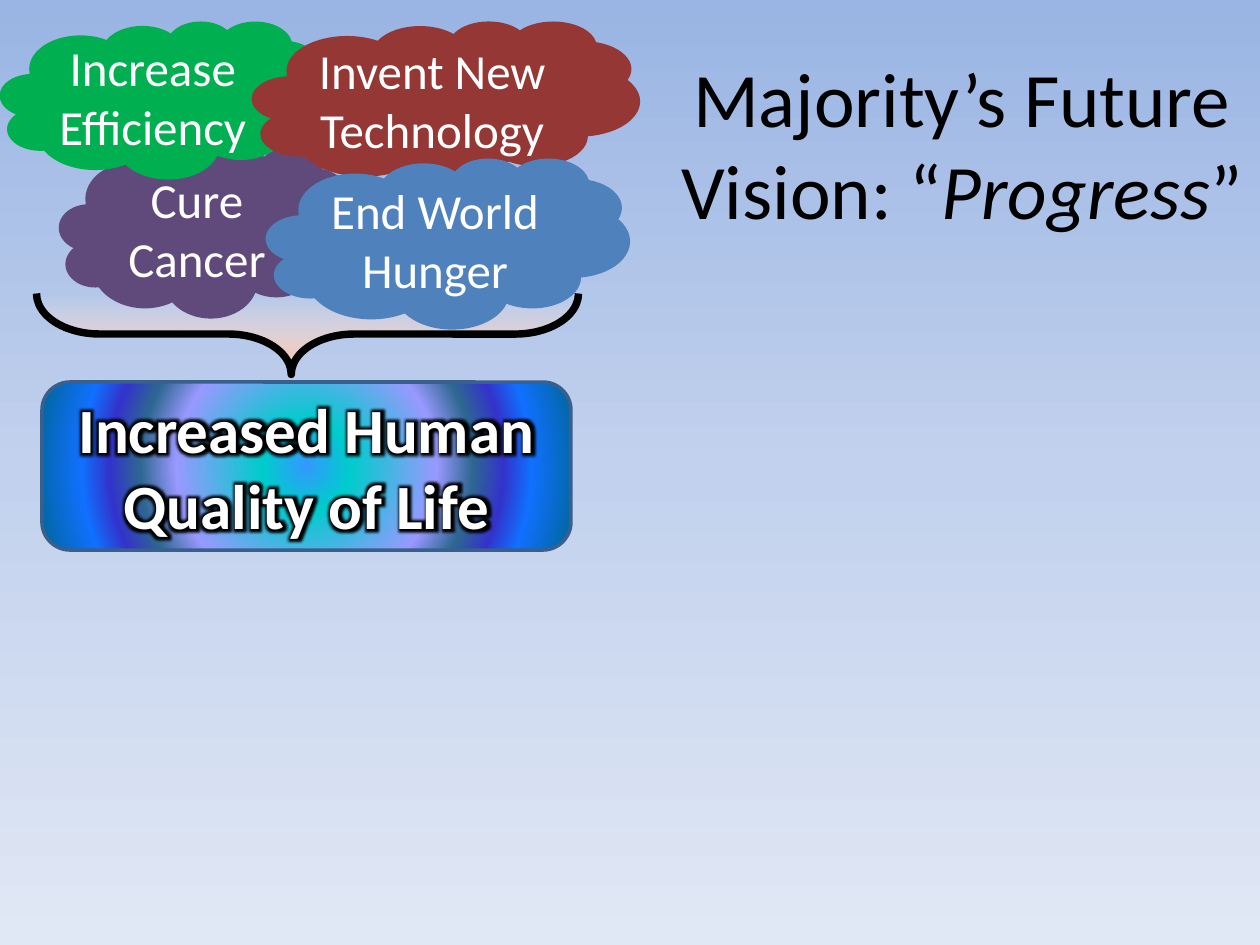
from lxml import etree
from pptx import Presentation
from pptx.dml.color import RGBColor
from pptx.enum.shapes import MSO_SHAPE as SHAPE
from pptx.enum.text import MSO_ANCHOR as ANCHOR, PP_ALIGN as ALIGN
from pptx.oxml import parse_xml
from pptx.oxml.ns import nsdecls, qn
from pptx.util import Pt

EMU_PER_PX = 914400 / 126
BLACK = RGBColor(0x00, 0x00, 0x00)
WHITE = RGBColor(0xFF, 0xFF, 0xFF)
PURPLE = RGBColor(0x60, 0x4A, 0x7B)
GREEN = RGBColor(0x00, 0xB0, 0x50)
RED = RGBColor(0x95, 0x37, 0x35)
BLUE = RGBColor(0x4F, 0x81, 0xBD)
NAVY = RGBColor(0x3A, 0x5F, 0x8C)

# Gradient stops: position %, colour, opacity %
SKY = [(0, RGBColor(0x9A, 0xB5, 0xE4), 100), (50, RGBColor(0xC2, 0xD1, 0xED), 100),
       (100, RGBColor(0xE1, 0xE8, 0xF5), 100)]
PEACH = [(0, RGBColor(0xFF, 0xC1, 0xA1), 100), (50, RGBColor(0xFF, 0xD7, 0xC5), 55),
         (100, RGBColor(0xFF, 0xEB, 0xE3), 0)]
RINGS = [(0, RGBColor(0x33, 0x99, 0xFF), 100), (16, RGBColor(0x00, 0xCC, 0xCC), 100),
         (47, RGBColor(0x99, 0x99, 0xFF), 100), (60, RGBColor(0x2E, 0x67, 0x92), 100),
         (71, RGBColor(0x33, 0x33, 0xCC), 100), (81, RGBColor(0x11, 0x70, 0xFF), 100),
         (100, RGBColor(0x00, 0x66, 0x99), 100)]


def px(n):
    return round(n * EMU_PER_PX)


class SlideBuilder:
    font = "Calibri"

    def __init__(self, prs):
        self.s = prs.slides.add_slide(prs.slide_layouts[6])

    def gradient(self, fill, props, stops, angle=None):
        """Linear gradient at an angle, or circular from the centre without one."""
        fill.solid()
        gs = "".join(
            f'<a:gs pos="{pos * 1000}"><a:srgbClr val="{color}">'
            f'<a:alpha val="{alpha * 1000}"/></a:srgbClr></a:gs>'
            for pos, color, alpha in stops)
        if angle is None:
            way = ('<a:path path="circle"><a:fillToRect l="50000" t="50000" '
                   'r="50000" b="50000"/></a:path>')
        else:
            way = f'<a:lin ang="{angle * 60000}" scaled="0"/>'
        props.replace(props.find(qn("a:solidFill")), parse_xml(
            f'<a:gradFill {nsdecls("a")} rotWithShape="1"><a:gsLst>{gs}</a:gsLst>{way}</a:gradFill>'))

    def background(self, stops, angle):
        fill = self.s.background.fill
        self.gradient(fill, self.s.element.find(".//" + qn("p:bgPr")), stops, angle)

    def add_text(self, sp, paragraphs, size, color, bold=None):
        """Each paragraph is a list of (text, italic) runs."""
        tf = sp.text_frame
        tf.word_wrap = True
        tf.vertical_anchor = ANCHOR.MIDDLE
        for i, runs in enumerate(paragraphs):
            p = tf.paragraphs[0] if i == 0 else tf.add_paragraph()
            p.alignment = ALIGN.CENTER
            p.font.name, p.font.size, p.font.bold = self.font, Pt(size), bold
            p.font.color.rgb = color
            for text, italic in runs:
                r = p.add_run()
                r.text = text
                if italic:
                    r.font.italic = True

    def shape(self, kind, box, parent=None):
        sp = (parent or self.s).shapes.add_shape(kind, *map(px, box))
        sp.shadow.inherit = False
        return sp

    def outline(self, sp, color, width):
        sp.line.color.rgb = color
        sp.line.width = Pt(width)

    def brace(self, box):
        sp = self.shape(SHAPE.RIGHT_BRACE, box)
        sp.rotation = 90
        sp.adjustments[0], sp.adjustments[1] = 0.78, 0.53
        self.gradient(sp.fill, sp.element.spPr, PEACH, 180)
        self.outline(sp, BLACK, 4.25)

    def title(self, box, runs):
        self.add_text(self.s.shapes.add_textbox(*map(px, box)), [runs], 44, BLACK)

    def clouds(self, items):
        group = self.s.shapes.add_group_shape()
        for box, color, lines in items:
            sp = self.shape(SHAPE.CLOUD, box, group)
            sp.fill.solid()
            sp.fill.fore_color.rgb = color
            sp.line.fill.background()
            self.add_text(sp, [[(line, False)] for line in lines], 28, WHITE)

    def banner(self, box, text):
        sp = self.shape(SHAPE.ROUNDED_RECTANGLE, box)
        self.gradient(sp.fill, sp.element.spPr, RINGS)
        self.outline(sp, NAVY, 2)
        self.add_text(sp, [[(text, False)]], 36, WHITE, bold=True)
        # Dark glow around the letters
        rPr = sp.text_frame.paragraphs[0].runs[0].font._element
        effects = etree.SubElement(rPr, qn("a:effectLst"))
        glow = etree.SubElement(effects, qn("a:glow"), rad="101600")
        etree.SubElement(glow, qn("a:srgbClr"), val=str(BLACK))


def main():
    prs = Presentation()
    prs.slide_width, prs.slide_height = px(1260), px(945)
    b = SlideBuilder(prs)
    b.background(SKY, 90)

    # Brace gathering the clouds, and the title
    b.brace((267, 63, 81, 542))
    b.title((664, 0, 596, 285),
            [("Majority’s Future Vision: “", False), ("Progress", True), ("”", False)])

    # Goals
    b.clouds([
        ((59, 147, 297, 171), PURPLE, ("Cure", "Cancer")),
        ((0, 21, 329, 158), GREEN, ("Increase", "Efficiency")),
        ((252, 21, 388, 165), RED, ("Invent New", "Technology")),
        ((266, 158, 364, 171), BLUE, ("End World", "Hunger")),
    ])

    # Outcome
    b.banner((42, 382, 529, 168), "Increased Human Quality of Life")
    prs.save("out.pptx")


if __name__ == "__main__":
    main()
